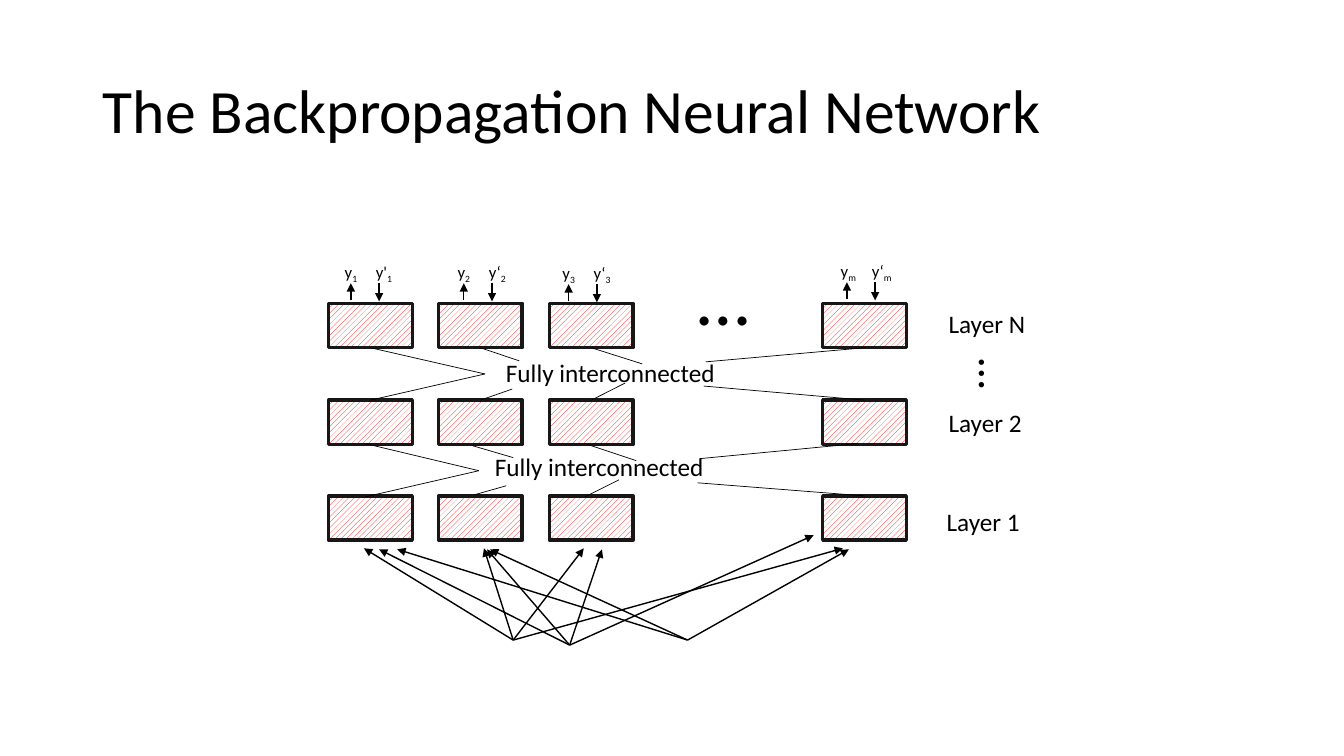
from lxml import etree
from pptx import Presentation
from pptx.dml.color import RGBColor
from pptx.enum.dml import MSO_PATTERN
from pptx.enum.shapes import MSO_CONNECTOR, MSO_SHAPE
from pptx.enum.text import MSO_ANCHOR, MSO_AUTO_SIZE, PP_ALIGN
from pptx.oxml.ns import qn
from pptx.util import Inches, Pt

BLACK = RGBColor(0x00, 0x00, 0x00)
WHITE = RGBColor(0xFF, 0xFF, 0xFF)
RED = RGBColor(0xFF, 0x00, 0x00)
CHARCOAL = RGBColor(0x18, 0x17, 0x17)
FONT = "Calibri"

TITLE = "The Backpropagation Neural Network"
NEURON_LEFTS = [3.26, 4.35, 5.45, 8.16]
LAYER_TOPS = [4.92, 3.97, 3.01]
NEURON_WIDTH, NEURON_HEIGHT = 0.83, 0.44
JOIN_REACH = 0.025

INPUT_FANS = {
    (5.09, 6.35): [(3.61, 5.44), (4.8, 5.44), (5.79, 5.44), (8.36, 5.44)],
    (5.65, 6.4): [(3.76, 5.45), (4.83, 5.45), (5.97, 5.45), (8.07, 5.31)],
    (6.82, 6.35): [(3.94, 5.45), (4.86, 5.45), (8.42, 5.45)],
}
UPPER_LINKS = [
    ((3.68, 3.44), (4.81, 3.71)),
    ((4.74, 3.46), (5.15, 3.58)),
    ((5.86, 3.44), (6.37, 3.61)),
    ((8.57, 3.44), (7, 3.59)),
    ((3.68, 3.97), (4.81, 3.71)),
    ((4.76, 3.95), (5.08, 3.86)),
    ((5.86, 3.97), (6.2, 3.8)),
    ((6.98, 3.83), (8.57, 3.97)),
]
LINK_SHIFT = (-0.06, 0.96)
LOWER_LAST_LINK = ((6.92, 4.79), (8.57, 4.92))

OUTPUTS = [
    (3.32, 2.55, "y'", "1"),
    (4.44, 2.55, "y‘", "2"),
    (5.48, 2.56, "y‘", "3"),
    (8.24, 2.54, "y‘", "m"),
]
LABELS = [
    ("Layer 1", 9.29, 4.97, 1.03, 0.4, 18, 0),
    ("Layer 2", 9.31, 3.99, 1.03, 0.4, 18, 0),
    ("Layer N", 9.31, 3.01, 1.03, 0.4, 18, 0),
    ("…", 6.82, 2.43, 0.72, 1.01, 54, 0),
    ("…", 9.63, 3.39, 0.51, 0.64, 32, 90),
    ("Fully interconnected", 4.81, 4.43, 2.37, 0.4, 18, 0),
    ("Fully interconnected", 4.92, 3.5, 2.37, 0.4, 18, 0),
]


def add_span(para, text, size, subscript=False):
    """Add one formatted run to a paragraph."""
    span = para.add_run()
    span.text = text
    span.font.name = FONT
    span.font.size = Pt(size)
    span.font.color.rgb = BLACK
    if subscript:
        span.font._element.set("baseline", "-25000")


def add_label(page, left, top, width, height, size, text, subscript=""):
    """Add a text box with an optional subscript."""
    box = page.shapes.add_textbox(
        Inches(left), Inches(top), Inches(width), Inches(height))
    frame = box.text_frame
    frame.word_wrap = True
    frame.auto_size = MSO_AUTO_SIZE.SHAPE_TO_FIT_TEXT
    frame.margin_right = 0
    para = frame.paragraphs[0]
    add_span(para, text, size)
    if subscript:
        add_span(para, subscript, size, True)
    return box


def add_neuron(page, left, top):
    """Add one hatched rectangle."""
    neuron = page.shapes.add_shape(
        MSO_SHAPE.RECTANGLE, Inches(left), Inches(top),
        Inches(NEURON_WIDTH), Inches(NEURON_HEIGHT))
    neuron.shadow.inherit = False
    neuron.fill.patterned()
    neuron.fill.pattern = MSO_PATTERN.WIDE_UPWARD_DIAGONAL
    neuron.fill.fore_color.rgb = RED
    neuron.fill.back_color.rgb = WHITE
    neuron.line.color.rgb = CHARCOAL
    neuron.line.width = Pt(2.5)
    return neuron


def add_line(page, start, end, width, arrow=False):
    """Add a straight line, with an arrowhead at its end if asked."""
    line = page.shapes.add_connector(
        MSO_CONNECTOR.STRAIGHT, *[Inches(value) for value in start + end])
    line.line.color.rgb = BLACK
    line.line.width = Pt(width)
    if arrow:
        outline = line.line._get_or_add_ln()
        etree.SubElement(outline, qn("a:tailEnd"), type="triangle")
    etree.SubElement(line._element.spPr, qn("a:effectLst"))
    return line


def find_side(neurons, point):
    """Return the neuron and side whose middle lies at the point."""
    for (left, top), neuron in neurons.items():
        for side, edge in ((0, top), (2, top + NEURON_HEIGHT)):
            across = abs(point[0] - left - NEURON_WIDTH / 2)
            if max(across, abs(point[1] - edge)) <= JOIN_REACH:
                return neuron, side
    return None


def shift(point):
    """Move a point from the upper links to the lower ones."""
    return tuple(round(a + b, 2) for a, b in zip(point, LINK_SHIFT))


def main():
    """Build the network slide and save it."""
    deck = Presentation()
    deck.slide_width, deck.slide_height = Inches(13.33), Inches(7.5)
    page = deck.slides.add_slide(deck.slide_layouts[5])

    title = page.shapes.title
    title.left, title.top = Inches(0.92), Inches(0.4)
    title.width, title.height = Inches(11.5), Inches(1.45)
    title.text_frame.vertical_anchor = MSO_ANCHOR.MIDDLE
    title.text_frame.auto_size = MSO_AUTO_SIZE.NONE
    para = title.text_frame.paragraphs[0]
    para.alignment = PP_ALIGN.LEFT
    para.line_spacing = 0.9
    add_span(para, TITLE, 44)

    neurons = {(left, top): add_neuron(page, left, top)
               for top in LAYER_TOPS for left in NEURON_LEFTS}

    for origin, tips in INPUT_FANS.items():
        for tip in tips:
            add_line(page, origin, tip, 1, True)

    for left, top, target, index in OUTPUTS:
        add_label(page, left + 0.31, top, 0.41, 0.3, 12, target, index)
        add_label(page, left, top, 0.41, 0.3, 12, "y", index)
        up, down = left + 0.16, left + 0.44
        add_line(page, (up, top + 0.43), (up, top + 0.26), 1, True)
        add_line(page, (down, top + 0.26), (down, top + 0.44), 1, True)

    lower_links = [(shift(start), shift(end)) for start, end in UPPER_LINKS[:-1]]
    for start, end in UPPER_LINKS + lower_links + [LOWER_LAST_LINK]:
        link = add_line(page, start, end, 0.5)
        for point, connect in ((start, link.begin_connect), (end, link.end_connect)):
            joint = find_side(neurons, point)
            if joint:
                connect(*joint)

    for text, left, top, width, height, size, turn in LABELS:
        box = add_label(page, left, top, width, height, size, text)
        box.rotation = turn

    deck.save("out.pptx")


if __name__ == "__main__":
    main()
